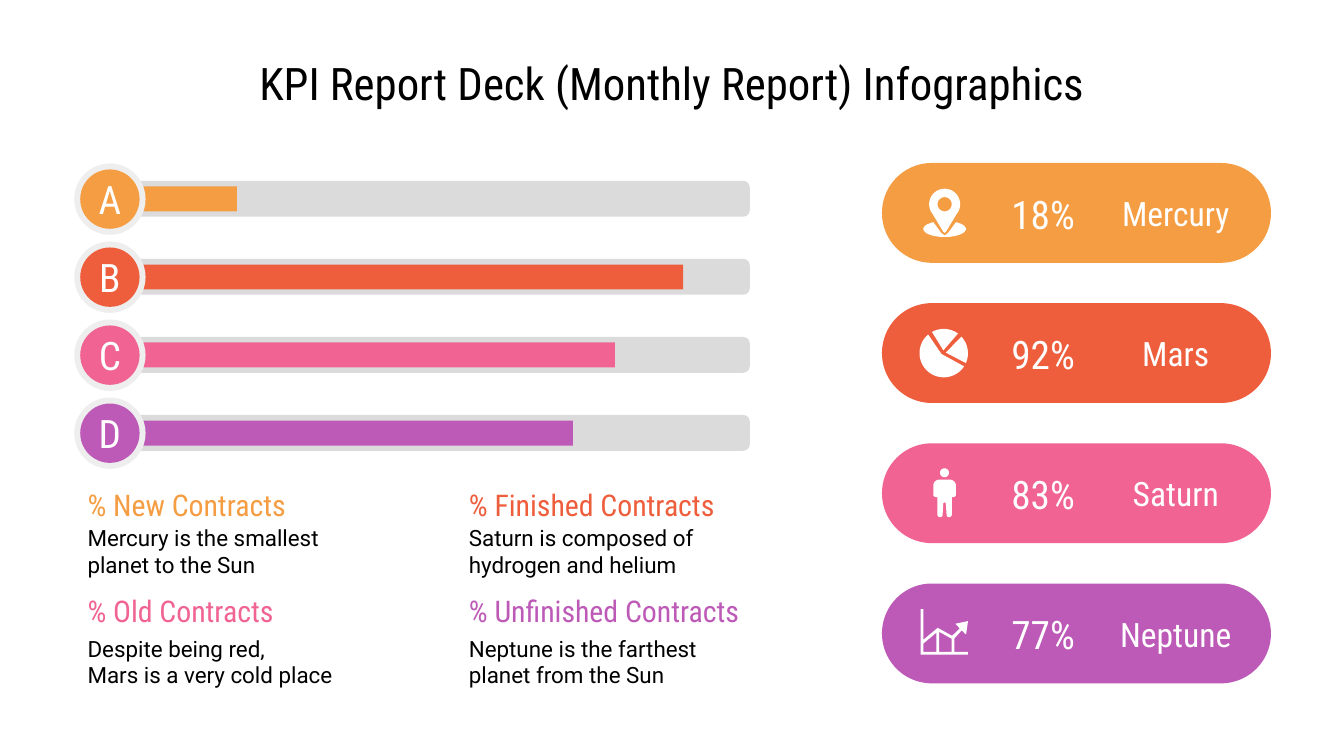
"""Build the KPI report slide with progress bars, captions and planet pills."""
import math
from dataclasses import dataclass

from pptx import Presentation
from pptx import util as u
from pptx.dml import color
from pptx.enum import shapes, text


@dataclass(frozen=True)
class Theme:
    orange: str = "F59D43"
    red: str = "EE5E3C"
    pink: str = "F06393"
    purple: str = "BD5AB7"
    track: str = "DBDBDB"
    ring: str = "EEEEEE"
    ink: str = "000000"
    white: str = "FFFFFF"
    display: str = "Roboto Condensed"
    reading: str = "Roboto"
    title_size: float = 24
    figure_size: float = 21
    name_size: float = 18
    heading_size: float = 16
    body_size: float = 12


THEME = Theme()
KIND = shapes.MSO_SHAPE


def arc(cx, cy, rx, start, end, ry=None):
    """Return points along an elliptical arc, with angles in degrees, clockwise."""
    ry = ry or rx
    steps = max(6, round(abs(end - start) / 8))
    angles = [math.radians(start + (end - start) * i / steps) for i in range(steps + 1)]
    return [(cx + rx * math.cos(a), cy + ry * math.sin(a)) for a in angles]


def pin_icon():
    """Return the outlines of a map pin standing on a disc."""
    head = arc(33.6, 22.1, 8.3, 140, 400) + [(34.3, 36.9), (33.6, 37.4), (32.9, 36.9)]
    hole = arc(33.6, 22.1, 3.8, 0, 360)
    disc = arc(33.6, 35.4, 11.4, -58, 238, 4.3) + [(31.7, 37.4), (33.6, 38.9), (35.5, 37.4)]
    return [[head, hole], [disc]]


def pie_icon():
    """Return the outlines of a pie cut into three slices."""
    slices = [(33, 230, (31.9, 27.3)), (241, 306, (32.9, 25.3)), (317, 384, (34.2, 26.5))]
    return [[arc(33.1, 26.8, 13, start, end) + [corner]] for start, end, corner in slices]


def person_icon():
    """Return the outlines of a standing person."""
    head = arc(33.5, 15.8, 2.4, 0, 360)
    body = (
        arc(30.7, 22.7, 3.2, 180, 270) + arc(36.4, 22.7, 3.2, 270, 360)
        + arc(38.3, 27.5, 1.3, 0, 90) + [(37.4, 28.8)]
        + arc(36, 38.2, 1.4, 0, 180) + arc(33.5, 32.4, 0.7, 0, -180)
        + arc(31.1, 38.2, 1.4, 0, 180) + [(29.7, 28.8)]
        + arc(28.8, 27.5, 1.3, 90, 180)
    )
    return [[head], [body]]


def growth_icon():
    """Return the outlines of a line chart with a rising arrow."""
    outer = [
        (20.7, 13.7), (20.7, 38.2), (46.1, 38.2), (46.1, 36.7), (38.8, 36.7),
        (38.8, 29.5), (42.7, 25.2), (45.1, 27.4), (46.1, 20.2), (39.4, 21.6),
        (41.7, 24.1), (37.6, 28.1), (29.9, 23.8), (22.2, 30.2), (22.2, 13.7),
    ]
    left_area = [(29.2, 26.4), (29.2, 36.7), (22.2, 36.7), (22.2, 32.2)]
    right_area = [(30.6, 25.9), (37.3, 29.6), (37.3, 36.7), (30.6, 36.7)]
    return [[outer, left_area, right_area]]


def paint(shape, fill):
    """Give a shape a plain fill with no line or shadow."""
    shape.fill.solid()
    shape.fill.fore_color.rgb = color.RGBColor.from_string(fill)
    shape.line.fill.background()
    shape.shadow.inherit = False


def add_block(slide, kind, left, top, width, height, fill, radius=None):
    """Add a filled preset shape."""
    block = slide.shapes.add_shape(kind, u.Pt(left), u.Pt(top), u.Pt(width), u.Pt(height))
    if radius is not None:
        block.adjustments[0] = radius
    paint(block, fill)
    return block


def write(frame, words, size, ink, font=THEME.display, align=text.PP_ALIGN.LEFT, inset=7.2):
    """Write one paragraph into a text frame, with line breaks where given."""
    frame.word_wrap = True
    frame.auto_size = text.MSO_AUTO_SIZE.NONE
    frame.vertical_anchor = text.MSO_ANCHOR.MIDDLE
    frame.margin_left = frame.margin_right = u.Pt(inset)
    frame.margin_top = frame.margin_bottom = u.Pt(inset)
    paragraph = frame.paragraphs[0]
    paragraph.alignment = align
    for number, line in enumerate(words.split("\n")):
        if number:
            paragraph.add_line_break()
        run = paragraph.add_run()
        run.text = line
        run.font.name = font
        run.font.size = u.Pt(size)
        run.font.color.rgb = color.RGBColor.from_string(ink)


def add_label(slide, left, top, width, height, words, size, ink, **style):
    """Add a text box holding one paragraph."""
    label = slide.shapes.add_textbox(u.Pt(left), u.Pt(top), u.Pt(width), u.Pt(height))
    write(label.text_frame, words, size, ink, **style)


def add_title(slide, words):
    """Place the slide title in its placeholder."""
    title = slide.shapes.title
    title.left, title.top, title.width, title.height = map(u.Pt, (39.6, 36.8, 640.8, 15))
    write(title.text_frame, words, THEME.title_size, THEME.ink, align=text.PP_ALIGN.CENTER)


def add_progress(slide, top, letter, length, fill):
    """Add a progress bar headed by a lettered badge."""
    add_block(slide, KIND.ROUNDED_RECTANGLE, 59.5, top + 9.3, 342.2, 19.2, THEME.track, 0.18)
    add_block(slide, KIND.RECTANGLE, 76.8, top + 12.3, length, 13.4, fill)
    add_block(slide, KIND.OVAL, 39.8, top, 38.2, 38.2, THEME.ring)
    badge = add_block(slide, KIND.OVAL, 43, top + 3.2, 31.8, 31.8, fill)
    write(badge.text_frame, letter, THEME.figure_size, THEME.white,
          align=text.PP_ALIGN.CENTER, inset=0)


def add_caption(slide, left, top, gap, heading, body, ink):
    """Add a coloured heading with its description below."""
    add_label(slide, left, top, 173.5, 18.7, heading, THEME.heading_size, ink)
    add_label(slide, left, top + gap, 157.7, 24.5, body, THEME.body_size, THEME.ink,
              font=THEME.reading)


def add_icon(slide, left, top, parts):
    """Draw the parts of an icon, each a list of closed outlines."""
    for outlines in parts:
        placed = [[(u.Pt(left + x), u.Pt(top + y)) for x, y in line] for line in outlines]
        pen = slide.shapes.build_freeform(*placed[0][0], scale=1.0)
        for number, line in enumerate(placed):
            if number:
                pen.move_to(*line[0])
            pen.add_line_segments(line[1:], close=True)
        paint(pen.convert_to_shape(), THEME.white)


def add_pill(slide, top, icon, share, planet, fill):
    """Add a pill with an icon, a percentage and a planet name."""
    left = 472.5
    add_block(slide, KIND.ROUNDED_RECTANGLE, left, top, 208.4, 53.5, fill, 0.5)
    add_icon(slide, left, top, icon())
    add_label(slide, left + 58.2, top + 9.6, 56.2, 35, share, THEME.figure_size, THEME.white,
              align=text.PP_ALIGN.CENTER)
    add_label(slide, left + 117.8, top + 13.2, 79.2, 27.4, planet, THEME.name_size,
              THEME.white, align=text.PP_ALIGN.CENTER)


def main():
    """Build and save the slide."""
    deck = Presentation()
    deck.slide_width, deck.slide_height = u.Pt(720), u.Pt(405)
    slide = deck.slides.add_slide(deck.slide_layouts[5])
    add_title(slide, "KPI Report Deck (Monthly Report) Infographics")

    progress = [
        ("A", 50.2, THEME.orange), ("B", 289.2, THEME.red),
        ("C", 252.6, THEME.pink), ("D", 230.2, THEME.purple),
    ]
    for row, (letter, length, fill) in enumerate(progress):
        add_progress(slide, 87.6 + 41.8 * row, letter, length, fill)

    captions = [
        ("% New Contracts", "Mercury is the smallest planet to the Sun", THEME.orange),
        ("% Finished Contracts", "Saturn is composed of hydrogen and helium", THEME.red),
        ("% Old Contracts", "Despite being red,\nMars is a very cold place", THEME.pink),
        ("% Unfinished Contracts", "Neptune is the farthest planet from the Sun", THEME.purple),
    ]
    for place, caption in enumerate(captions):
        row, column = divmod(place, 2)
        add_caption(slide, 39.8 + 204.3 * column, 260.8 + 56.8 * row, 22.4 + 2.2 * row, *caption)

    pills = [
        (pin_icon, "18%", "Mercury", THEME.orange), (pie_icon, "92%", "Mars", THEME.red),
        (person_icon, "83%", "Saturn", THEME.pink), (growth_icon, "77%", "Neptune", THEME.purple),
    ]
    for row, pill in enumerate(pills):
        add_pill(slide, 87.3 + 75.1 * row, *pill)

    deck.save("out.pptx")


if __name__ == "__main__":
    main()
